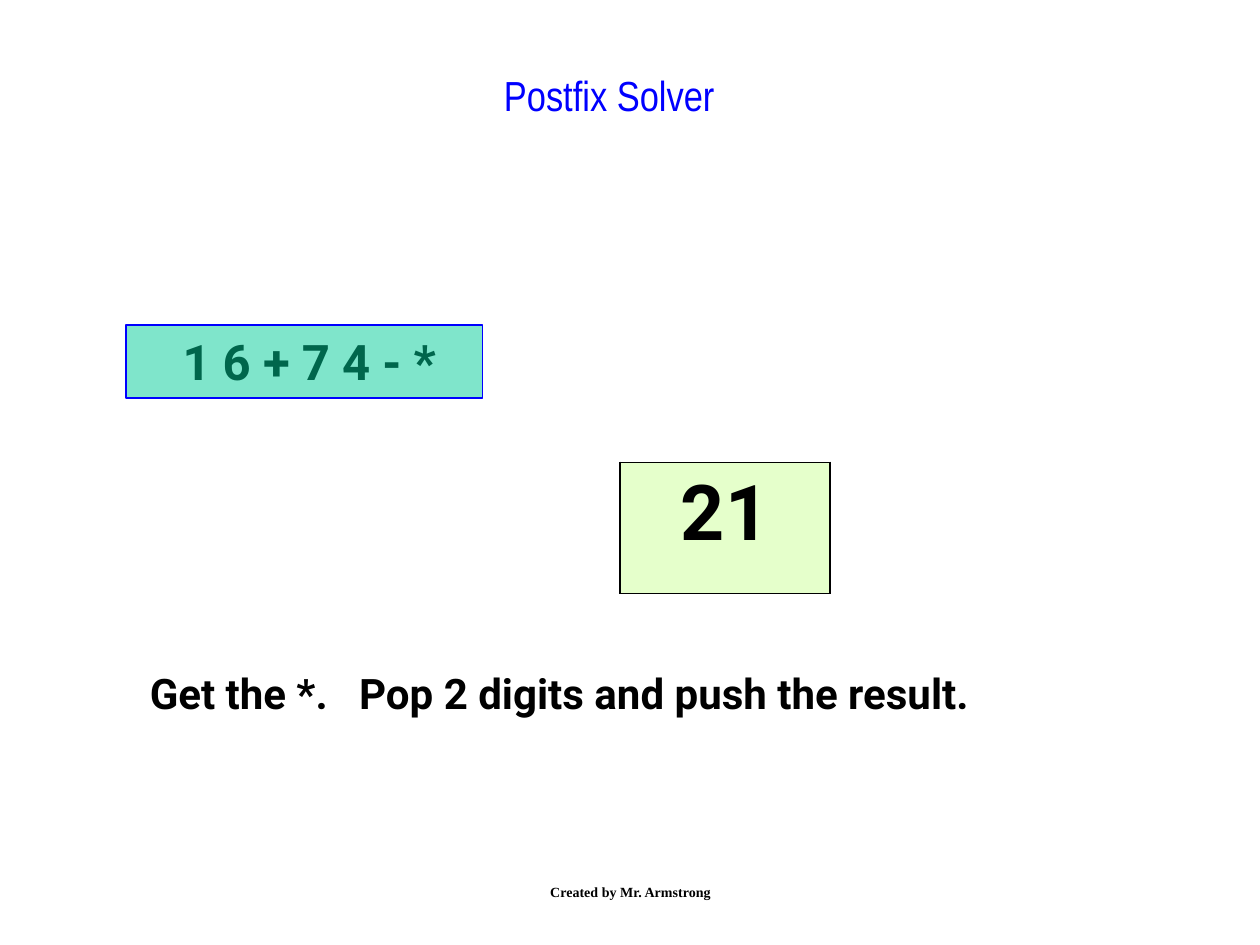
import pptx
import pptx.dml.color
import pptx.enum.shapes
import pptx.enum.text
import pptx.oxml
import pptx.oxml.ns
import pptx.util
from pptx.util import Inches

ALIGN = pptx.enum.text.PP_ALIGN
ANCHOR = pptx.enum.text.MSO_ANCHOR
COLORS = {
    "black": "000000",
    "blue": "0000FF",
    "teal": "00CC99",
    "lime": "CCFF99",
}


def rgb(name):
    return pptx.dml.color.RGBColor.from_string(COLORS[name])


def fill_half(fill, color):
    """Fill with a colour at 50 % opacity."""
    fill.solid()
    fill.fore_color.rgb = rgb(color)
    color_element = fill._xPr.find(".//" + pptx.oxml.ns.qn("a:srgbClr"))
    color_element.append(pptx.oxml.parse_xml(
        f'<a:alpha {pptx.oxml.ns.nsdecls("a")} val="50000"/>'))


class SlideBuilder:
    body_font = "Roboto"

    def __init__(self, slide):
        self.slide = slide

    def set_text(self, text_frame, text, size, font=body_font, color="black",
                 bold=True, align=ALIGN.LEFT):
        text_frame.text = text
        paragraph = text_frame.paragraphs[0]
        paragraph.alignment = align
        for run in paragraph.runs:
            run.font.size = pptx.util.Pt(size)
            run.font.name = font
            run.font.bold = bold
            run.font.color.rgb = rgb(color)

    def title(self, text, left, top, width, height):
        title = self.slide.shapes.title
        title.left, title.top = Inches(left), Inches(top)
        title.width, title.height = Inches(width), Inches(height)
        title.text_frame.word_wrap = True
        title.text_frame.vertical_anchor = ANCHOR.TOP
        self.set_text(title.text_frame, text, 24, "Arial Narrow", "blue", False, ALIGN.CENTER)

    def text(self, text, left, top, width, height, size, wrap=False,
             anchor=ANCHOR.TOP, **style):
        box = self.slide.shapes.add_textbox(
            Inches(left), Inches(top), Inches(width), Inches(height))
        box.text_frame.word_wrap = wrap
        box.text_frame.vertical_anchor = anchor
        if not wrap:
            box.text_frame.auto_size = pptx.enum.text.MSO_AUTO_SIZE.SHAPE_TO_FIT_TEXT
        self.set_text(box.text_frame, text, size, **style)

    def overlay(self, left, top, width, height):
        """Add a see-through outlined rectangle."""
        shape = self.slide.shapes.add_shape(
            pptx.enum.shapes.MSO_SHAPE.RECTANGLE,
            Inches(left), Inches(top), Inches(width), Inches(height))
        shape.shadow.inherit = False
        fill_half(shape.fill, "teal")
        shape.line.color.rgb = rgb("blue")
        shape.line.width = pptx.util.Pt(0.75)

    def stack(self, text, left, top, width, height):
        """Add the one-cell table that shows the stack."""
        table = self.slide.shapes.add_table(
            1, 1, Inches(left), Inches(top), Inches(width), Inches(height)).table
        table.first_row = table.horz_banding = False
        cell = table.cell(0, 0)
        self.set_text(cell.text_frame, text, 44, align=ALIGN.CENTER)
        fill_half(cell.fill, "lime")
        properties = cell._tc.get_or_add_tcPr()
        line_width = pptx.util.Pt(1.08)
        for index, side in enumerate("LRTB"):
            properties.insert(index, pptx.oxml.parse_xml(
                f'<a:ln{side} {pptx.oxml.ns.nsdecls("a")} w="{line_width}"><a:solidFill>'
                f'<a:srgbClr val="{COLORS["black"]}"/></a:solidFill></a:ln{side}>'))


def main():
    presentation = pptx.Presentation()
    presentation.slide_width = Inches(10)
    presentation.slide_height = Inches(7.5)
    builder = SlideBuilder(presentation.slides.add_slide(presentation.slide_layouts[5]))

    builder.text("Get the *.   Pop 2 digits and push the result.", 1.09, 5.25, 7.58, 0.5, 24)
    builder.title("Postfix Solver", 1.25, 0.5, 7.17, 0.83)
    builder.text("1 6 + 7 4 - *", 1.35, 2.58, 2.25, 0.57, 28)
    builder.overlay(1, 2.58, 2.83, 0.58)
    builder.stack("21", 4.92, 3.67, 1.67, 1.04)
    builder.text("Created by Mr. Armstrong", 3.42, 6.83, 3.17, 0.5, 8, wrap=True,
                 anchor=ANCHOR.MIDDLE, font="Times New Roman", align=ALIGN.CENTER)
    presentation.save("out.pptx")


if __name__ == "__main__":
    main()
